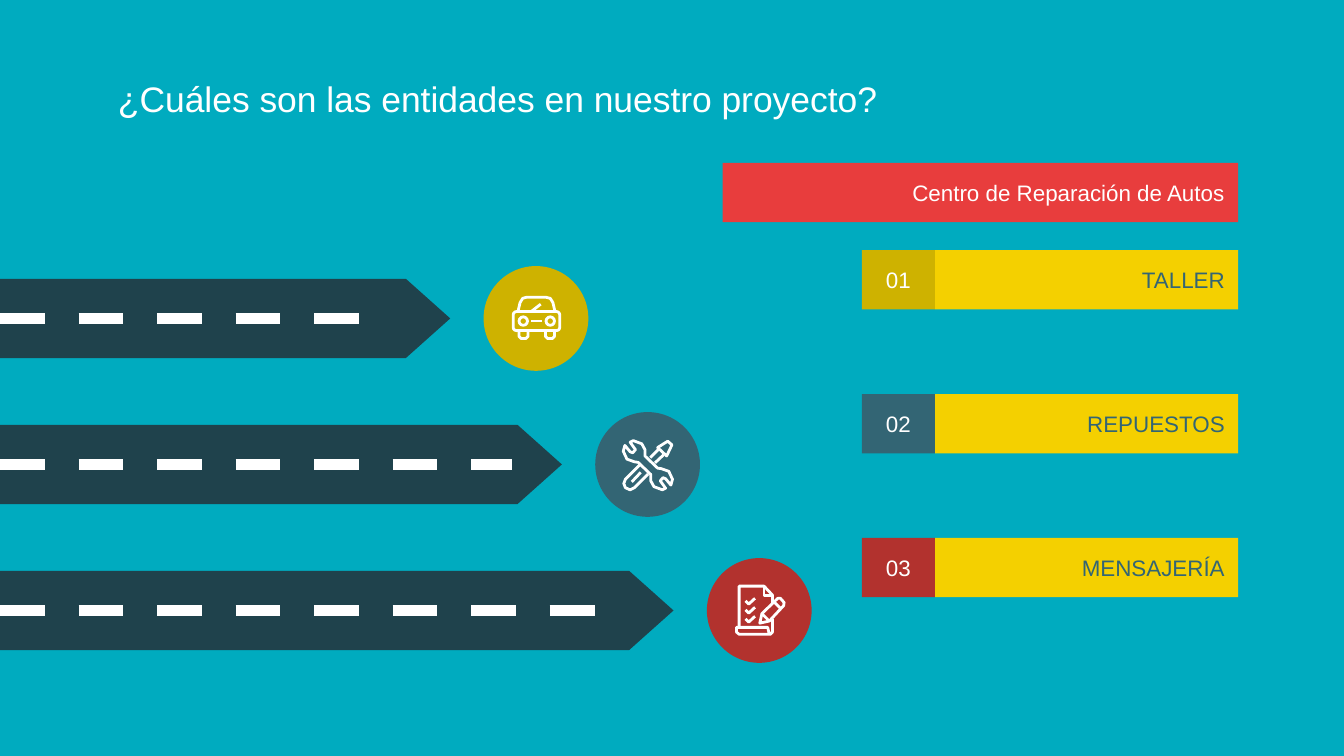
from lxml.etree import SubElement
from pptx import Presentation
from pptx.dml.color import RGBColor
from pptx.enum.dml import MSO_LINE
from pptx.enum.shapes import MSO_CONNECTOR, MSO_SHAPE
from pptx.enum.text import MSO_ANCHOR, PP_ALIGN
from pptx.oxml.ns import qn
from pptx.util import Cm, Pt

HUES = {
    "sky": "00ABBF", "road": "1F424C", "white": "FFFFFF", "red": "E83D3D",
    "yellow": "F4D000", "gold": "CEB200", "slate": "336574", "brick": "B2322E",
}
FRAME = {
    "word_wrap": True, "vertical_anchor": MSO_ANCHOR.MIDDLE,
    "margin_left": Cm(0.25), "margin_right": Cm(0.25),
    "margin_top": Cm(0.25), "margin_bottom": Cm(0.25),
}
HEAD = {**FRAME, "vertical_anchor": MSO_ANCHOR.TOP, "margin_top": Cm(0.33)}
FONT = {"name": "Arial", "size": Pt(12), "bold": False}
ROWS = [
    ("01", "TALLER", "gold", 7.34),
    ("02", "REPUESTOS", "slate", 9.68),
    ("03", "MENSAJERÍA", "brick", 11.58),
]

WHEEL = [(18, 73), (18, 84), (22, 88), (31, 88), (35, 84), (35, 73)]
JAW = [(32, 46), (25, 45), (11, 40), (4, 25), (7, 14), (17, 26), (22, 28),
       (27, 22), (17, 8), (23, 5), (39, 11), (45, 22), (45, 34)]
TICK = [(24, 32), (30, 38), (42, 27)]

CAR = {
    "shapes": [
        (MSO_SHAPE.ROUNDED_RECTANGLE, 7, 37, 88, 36),
        (MSO_SHAPE.OVAL, 18, 47, 16, 16),
        (MSO_SHAPE.OVAL, 69, 47, 16, 16),
    ],
    "open": [
        [(16, 37), (20, 20), (25, 12), (32, 10), (69, 10), (77, 12), (82, 20), (86, 37)],
        [(41, 37), (59, 23)], [(41, 55), (61, 55)],
        WHEEL, [(x + 50, y) for x, y in WHEEL],
    ],
}
TOOLS = {
    "closed": [
        JAW + [(101 - x, 103 - y) for x, y in JAW],
        [(88, 6), (96, 13), (86, 34), (69, 18)],
    ],
    "open": [
        [(70, 22), (55, 37)], [(80, 32), (64, 47)], [(20, 83), (37, 65)],
        [(35, 51), (8, 78), (5, 86), (8, 94), (17, 98), (25, 94), (51, 68)],
    ],
}
FORM = {
    "closed": [[(51, 74), (55, 56), (85, 27), (90, 27), (97, 35), (96, 41), (69, 70)]],
    "open": [
        [(12, 82), (12, 4), (59, 4), (75, 21), (75, 36)],
        [(75, 66), (75, 91), (71, 95), (12, 95), (7, 91), (7, 82), (66, 82),
         (68, 91), (71, 95)],
        [(59, 4), (59, 21), (75, 21)], [(55, 56), (69, 70)], [(78, 34), (91, 47)],
        *[[(x, y + 17 * n) for x, y in TICK] for n in range(3)],
    ],
}


def tint(name):
    """Return the named colour."""
    return RGBColor.from_string(HUES[name])


def apply(item, form):
    """Set each format value on an item."""
    for key, value in form.items():
        setattr(item, key, value)


def write(shape, text, hue, align, frame=FRAME, font=FONT):
    """Put one formatted line of text in a shape."""
    apply(shape.text_frame, frame)
    line = shape.text_frame.paragraphs[0]
    line.alignment = align
    run = line.add_run()
    run.text = text
    apply(run.font, font)
    run.font.color.rgb = tint(hue)


def block(slide, kind, box, hue):
    """Draw a plain filled shape in a box of centimetres."""
    shape = slide.shapes.add_shape(kind, *map(Cm, box))
    shape.shadow.inherit = False
    shape.fill.solid()
    shape.fill.fore_color.rgb = tint(hue)
    shape.line.fill.background()
    return shape


def icon(slide, art, left, top):
    """Draw a line icon in a box of one centimetre."""
    group = slide.shapes.add_group_shape().shapes
    parts = []
    for kind, x, y, wide, high in art.get("shapes", []):
        box = left + x / 100, top + y / 100, wide / 100, high / 100
        parts.append(group.add_shape(kind, *map(Cm, box)))
    for style in ("closed", "open"):
        for dots in art.get(style, []):
            pen = group.build_freeform(*dots[0], scale=Cm(0.01))
            pen.add_line_segments(dots[1:], close=style == "closed")
            parts.append(pen.convert_to_shape(Cm(left), Cm(top)))
    for part in parts:
        part.shadow.inherit = False
        part.fill.background()
        part.line.color.rgb = tint("white")
        part.line.width = Pt(1.5)


def road(slide, box, end, hue, art):
    """Draw a road with its dashes, and the disc beyond its tip."""
    left, top, wide, high = box
    arrow = block(slide, MSO_SHAPE.RIGHT_ARROW, box, "road")
    arrow.adjustments[0], arrow.adjustments[1] = 1, 0.56
    mid = top + high / 2
    dash = slide.shapes.add_connector(
        MSO_CONNECTOR.STRAIGHT, Cm(left), Cm(mid), Cm(left + end), Cm(mid))
    dash.line.color.rgb = tint("white")
    apply(dash.line, {"width": Pt(6), "dash_style": MSO_LINE.DASH})
    SubElement(dash._element.spPr, qn("a:effectLst"))
    size, start = 1.98, left + wide + 0.63
    block(slide, MSO_SHAPE.OVAL, (start, mid - size / 2, size, size), hue)
    icon(slide, art, start + size / 2 - 0.5, mid - 0.5)


def label(slide, box, code, name, hue):
    """Draw a numbered label."""
    left, top, wide, high = box
    step = 1.38
    bar = block(slide, MSO_SHAPE.RECTANGLE, (left + step, top, wide - step, high), "yellow")
    write(bar, name, "slate", PP_ALIGN.RIGHT)
    tag = block(slide, MSO_SHAPE.RECTANGLE, (left, top, step, high), hue)
    write(tag, code, "white", PP_ALIGN.CENTER)


def banner(slide, box, text):
    """Draw the red heading bar."""
    bar = block(slide, MSO_SHAPE.RECTANGLE, box, "red")
    write(bar, text, "white", PP_ALIGN.RIGHT)


def title(slide, box, text):
    """Place and format the title."""
    shape = slide.shapes.title
    apply(shape, dict(zip(("left", "top", "width", "height"), map(Cm, box))))
    write(shape, text, "white", PP_ALIGN.LEFT, HEAD, {**FONT, "size": Pt(19)})


def main():
    """Build and save the slide."""
    deck = Presentation()
    apply(deck, {"slide_width": Cm(25.4), "slide_height": Cm(14.29)})
    slide = deck.slides.add_slide(deck.slide_layouts[5])
    slide.background.fill.solid()
    slide.background.fill.fore_color.rgb = tint("sky")
    title(slide, (1.98, 1.12, 21.44, 1.6), "¿Cuáles son las entidades en nuestro proyecto?")
    banner(slide, (13.66, 3.08, 9.74, 1.12), "Centro de Reparación de Autos")
    for n, ((code, name, hue, end), art) in enumerate(zip(ROWS, (CAR, TOOLS, FORM))):
        road(slide, (0, 5.27 + 2.76 * n, 8.51 + 2.11 * n, 1.5), end, hue, art)
        label(slide, (16.29, 4.73 + 2.72 * n, 7.11, 1.12), code, name, hue)
    deck.save("out.pptx")


if __name__ == "__main__":
    main()
